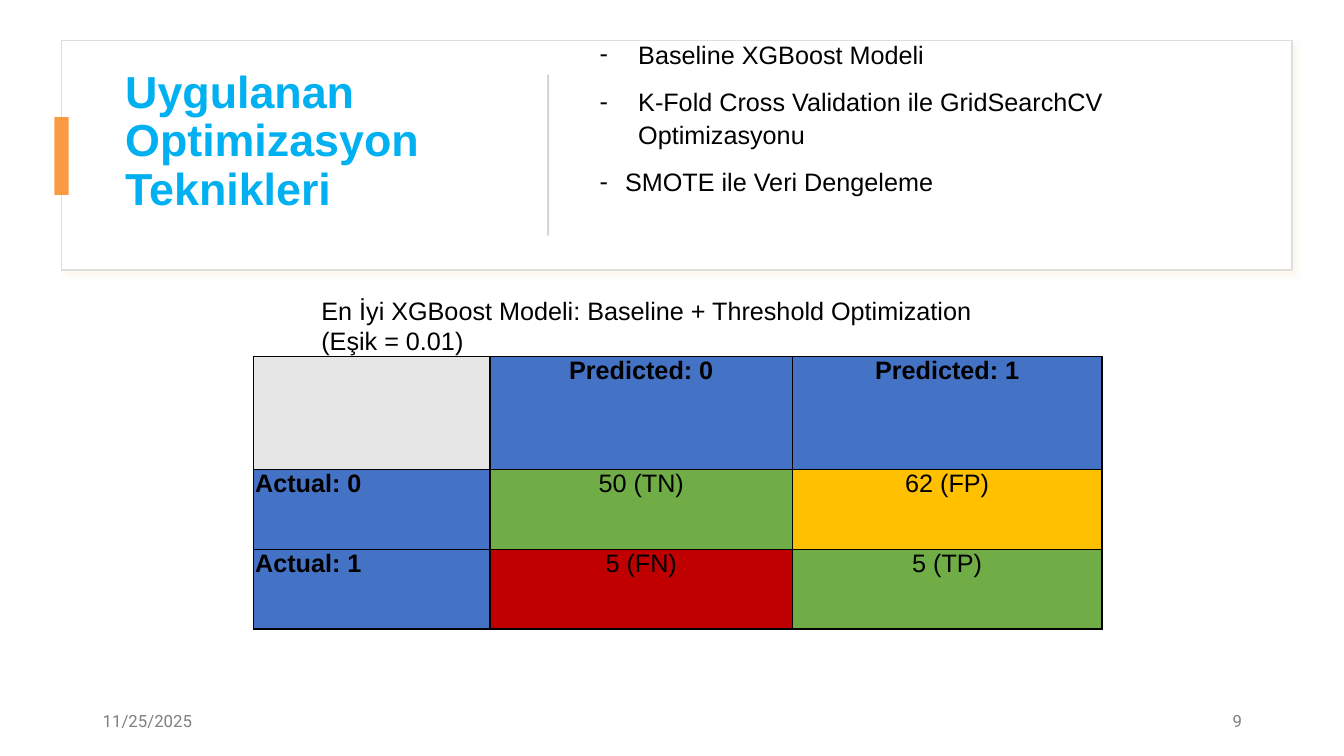
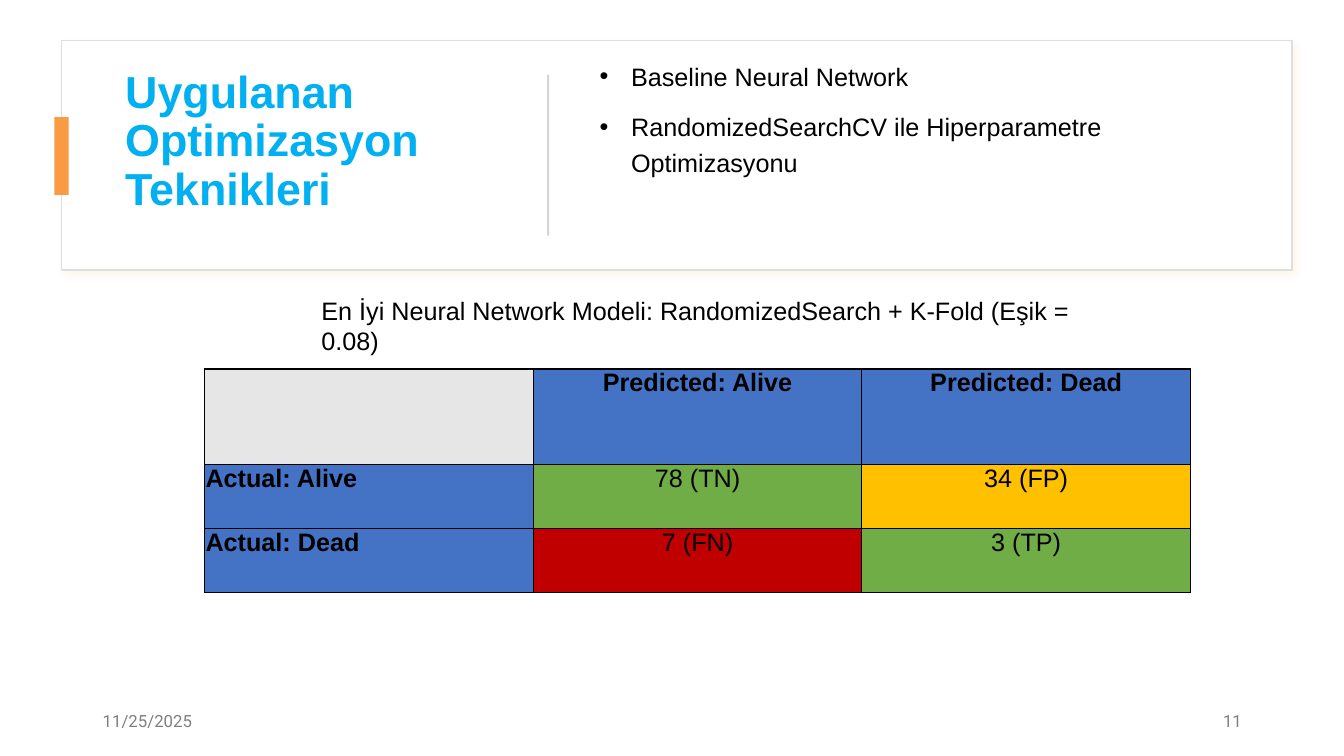
"""Builds two slides on optimisation techniques, each with a confusion matrix."""
from lxml.etree import SubElement
from pptx import Presentation
from pptx.dml.color import RGBColor
from pptx.enum.shapes import MSO_SHAPE
from pptx.enum.text import MSO_ANCHOR, MSO_AUTO_SIZE, PP_ALIGN
from pptx.oxml import parse_xml
from pptx.oxml.ns import qn
from pptx.util import Cm, Pt

SLIDES = [
    {
        "bullets": [
            ("Baseline XGBoost Modeli", 0.97),
            ("K-Fold Cross Validation ile GridSearchCV Optimizasyonu", 0.97),
            ("SMOTE ile Veri Dengeleme", 0.64),
        ],
        "mark": "-", "leading": 1.1, "page": "9",
        "caption": "En İyi XGBoost Modeli: Baseline + Threshold Optimization (Eşik = 0.01)",
        "caption_box": (7.85, 7.32, 16.94, 2.57),
        "matrix": [
            ("", "Predicted: 0", "Predicted: 1"),
            ("Actual: 0", "50 (TN)", "62 (FP)"),
            ("Actual: 1", "5 (FN)", "5 (TP)"),
        ],
        "spot": (6.38, 8.99), "cols": (5.97, 7.62, 7.8),
        "rows": (2.84, 2.01, 2.01), "inset": 0.05,
    },
    {
        "bullets": [
            ("Baseline Neural Network", 0.79),
            ("RandomizedSearchCV ile Hiperparametre Optimizasyonu", 0.79),
        ],
        "mark": "•", "leading": 1.2, "page": "11",
        "caption": "En İyi Neural Network Modeli: RandomizedSearch + K-Fold (Eşik = 0.08)",
        "caption_box": (7.85, 7.32, 19.41, 2.64),
        "matrix": [
            ("", "Predicted: Alive", "Predicted: Dead"),
            ("Actual: Alive", "78 (TN)", "34 (FP)"),
            ("Actual: Dead", "7 (FN)", "3 (TP)"),
        ],
        "spot": (5.16, 9.3), "cols": (8.28, 8.28, 8.28),
        "rows": (2.41, 1.61, 1.61), "inset": 0.02,
    },
]
TITLE = "Uygulanan Optimizasyon Teknikleri"
DATE = "11/25/2025"
HEAD, GOOD = "4472C4", "70AD47"
FILLS = [("E7E6E6", HEAD, HEAD), (HEAD, GOOD, "FFC000"), (HEAD, "C00000", GOOD)]
PANEL = (1.55, 1.02, 31.01, 5.79)
ACCENT = (1.37, 2.95, 0.36, 1.96)
DIVIDER = (13.79, 1.88, 0.05, 4.06)
TITLE_BOX = (2.9, 1.63, 9.88, 4.57)
LIST_BOX = (14.86, 0.65, 16.66, 4.57)
DATE_BOX = (2.34, 17.65, 7.62, 1.02)
PAGE_BOX = (23.93, 17.65, 7.62, 1.02)
SPACE = 'xmlns:a="http://schemas.openxmlformats.org/drawingml/2006/main"'
SHADOW = (
    f'<a:effectLst {SPACE}><a:outerShdw blurRad="50800" dist="38100" dir="2700000">'
    '<a:srgbClr val="F7D9A7"><a:alpha val="20000"/></a:srgbClr>'
    '</a:outerShdw></a:effectLst>'
)
BORDER = (
    '<a:{side} {space} w="12700"><a:solidFill><a:srgbClr val="000000"/>'
    '</a:solidFill></a:{side}>'
)


def tint(code):
    return RGBColor.from_string(code)


def write(para, text, size=18, color="000000", font="Arial", bold=False,
          align=PP_ALIGN.LEFT, leading=None, before=0, after=0):
    para.alignment = align
    para.line_spacing = leading
    para.space_before, para.space_after = Pt(before), Pt(after)
    run = para.add_run()
    run.text = text
    run.font.size, run.font.name, run.font.bold = Pt(size), font, bold
    run.font.color.rgb = tint(color)


def place(shape, box):
    shape.left, shape.top, shape.width, shape.height = map(Cm, box)


def setup(shape, anchor, fit=MSO_AUTO_SIZE.NONE):
    frame = shape.text_frame
    frame.word_wrap, frame.auto_size, frame.vertical_anchor = True, fit, anchor
    return frame


def block(slide, box, fill, line=None):
    shape = slide.shapes.add_shape(MSO_SHAPE.RECTANGLE, *map(Cm, box))
    shape.shadow.inherit = False
    shape.fill.solid()
    shape.fill.fore_color.rgb = tint(fill)
    if line:
        shape.line.color.rgb = tint(line)
        shape.line.width = Pt(1)
    else:
        shape.line.fill.background()
    return shape


def label(slide, box, text, anchor=MSO_ANCHOR.MIDDLE, fit=MSO_AUTO_SIZE.NONE, **style):
    shape = slide.shapes.add_textbox(*map(Cm, box))
    write(setup(shape, anchor, fit).paragraphs[0], text, **style)


def banner(slide):
    panel = block(slide, PANEL, "FFFFFF", "DEDEDE")
    props = panel._element.spPr
    props.remove(props.find(qn("a:effectLst")))
    props.append(parse_xml(SHADOW))
    title = slide.shapes.title
    title._element.addprevious(panel._element)
    place(title, TITLE_BOX)
    write(setup(title, MSO_ANCHOR.TOP).paragraphs[0], TITLE, size=32,
          color="00B0F0", bold=True, leading=0.9)
    block(slide, ACCENT, "FA9A42")
    block(slide, DIVIDER, "D5D5D5")


def listing(slide, data):
    body = slide.placeholders[1]
    place(body, LIST_BOX)
    frame = setup(body, MSO_ANCHOR.MIDDLE)
    for rank, (text, indent) in enumerate(data["bullets"]):
        para = frame.add_paragraph() if rank else frame.paragraphs[0]
        write(para, text, leading=data["leading"], before=10)
        props = para._p.get_or_add_pPr()
        props.set("marL", str(Cm(indent)))
        props.set("indent", str(-Cm(indent)))
        SubElement(props, qn("a:buFont")).set("typeface", "Arial")
        SubElement(props, qn("a:buChar")).set("char", data["mark"])


def dress(cell, fill, inset):
    cell.margin_left = cell.margin_right = Cm(inset)
    cell.margin_top = cell.margin_bottom = 0
    props = cell._tc.get_or_add_tcPr()
    for side in ("lnL", "lnR", "lnT", "lnB"):
        props.append(parse_xml(BORDER.format(side=side, space=SPACE)))
    cell.fill.solid()
    cell.fill.fore_color.rgb = tint(fill)


def matrix(slide, data):
    cols, rows = data["cols"], data["rows"]
    box = (*data["spot"], sum(cols), sum(rows))
    table = slide.shapes.add_table(len(rows), len(cols), *map(Cm, box)).table
    table.first_row = table.horz_banding = False
    for col, width in zip(table.columns, cols):
        col.width = Cm(width)
    for y, height in enumerate(rows):
        table.rows[y].height = Cm(height)
        for x, text in enumerate(data["matrix"][y]):
            cell = table.cell(y, x)
            dress(cell, FILLS[y][x], data["inset"])
            if text:
                write(cell.text_frame.paragraphs[0], text, bold=x * y == 0,
                      align=PP_ALIGN.CENTER if x else PP_ALIGN.LEFT)


def main():
    deck = Presentation()
    deck.slide_width, deck.slide_height = Cm(33.87), Cm(19.05)
    small = {"size": 12, "font": "Roboto", "color": "808080", "after": 6}
    for data in SLIDES:
        slide = deck.slides.add_slide(deck.slide_layouts[1])
        banner(slide)
        listing(slide, data)
        label(slide, DATE_BOX, DATE, **small)
        label(slide, PAGE_BOX, data["page"], align=PP_ALIGN.RIGHT, **small)
        matrix(slide, data)
        label(slide, data["caption_box"], data["caption"], MSO_ANCHOR.TOP,
              MSO_AUTO_SIZE.SHAPE_TO_FIT_TEXT)
    deck.save("out.pptx")


if __name__ == "__main__":
    main()
